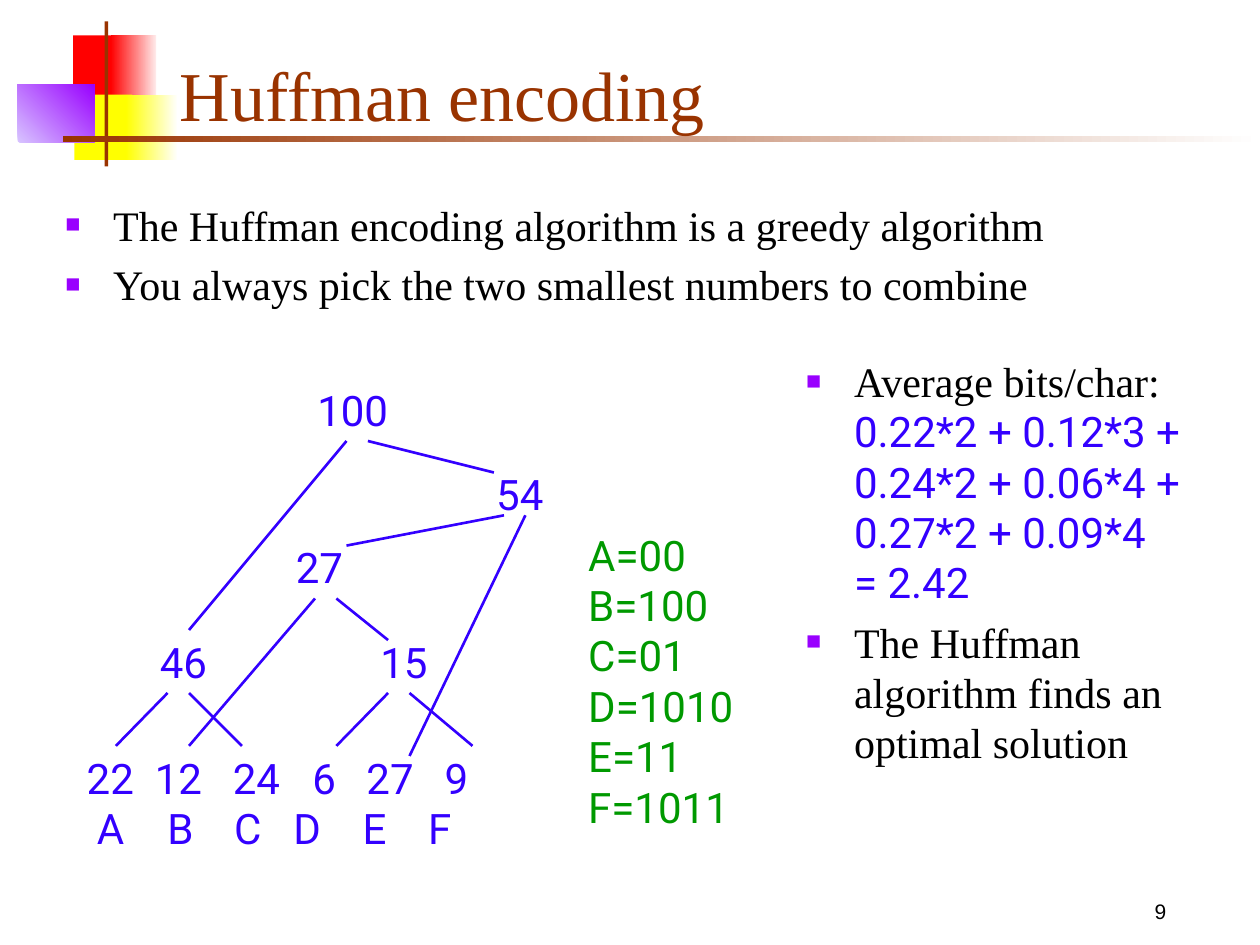
from lxml.etree import SubElement
from pptx import Presentation
from pptx.dml.color import RGBColor
from pptx.enum.shapes import MSO_CONNECTOR, MSO_SHAPE
from pptx.enum.text import MSO_ANCHOR, PP_ALIGN
from pptx.oxml.ns import qn
from pptx.util import Inches, Pt

BLACK = RGBColor(0x00, 0x00, 0x00)
WHITE = RGBColor(0xFF, 0xFF, 0xFF)
BROWN = RGBColor(0x99, 0x33, 0x00)
RED = RGBColor(0xFF, 0x00, 0x00)
PALE_RED = RGBColor(0xFF, 0xEA, 0xEA)
YELLOW = RGBColor(0xFF, 0xFF, 0x00)
PALE_YELLOW = RGBColor(0xFF, 0xFF, 0xF8)
PURPLE = RGBColor(0x99, 0x00, 0xFF)
PALE_PURPLE = RGBColor(0xD8, 0xC4, 0xFF)
BLUE = RGBColor(0x33, 0x00, 0xFF)
GREEN = RGBColor(0x00, 0x99, 0x00)
SERIF = "Times New Roman"
SANS = "Roboto"

presentation = Presentation()
presentation.slide_width = Inches(10)
presentation.slide_height = Inches(7.5)
slide = presentation.slides.add_slide(presentation.slide_layouts[6])


def style_runs(runs, font_name, size, color):
    for run in runs:
        run.font.name = font_name
        run.font.size = Pt(size)
        run.font.color.rgb = color


def add_text(box, paragraphs, font_name, size, color):
    shape = slide.shapes.add_textbox(*[Inches(length) for length in box])
    text_frame = shape.text_frame
    text_frame.word_wrap = True
    text_frame.text = "\n".join(paragraphs)
    for paragraph in text_frame.paragraphs:
        style_runs(paragraph.runs, font_name, size, color)
    return text_frame


decorations = [
    (0.58, 0.28, 0.35, 0.52, RED, None, 0),
    (0.88, 0.28, 0.36, 0.52, RED, PALE_RED, 0),
    (0.59, 0.75, 0.46, 0.52, YELLOW, None, 0),
    (1, 0.75, 0.4, 0.52, YELLOW, PALE_YELLOW, 0),
    (0.14, 0.67, 0.61, 0.46, PALE_PURPLE, PURPLE, 45),
    (0.83, 0.17, 0.03, 1.15, BROWN, None, 0),
    (0.5, 1.08, 9.5, 0.05, BROWN, WHITE, 0),
]
for *box, start_color, end_color, angle in decorations:
    shape = slide.shapes.add_shape(MSO_SHAPE.RECTANGLE, *[Inches(length) for length in box])
    shape.shadow.inherit = False
    shape.line.fill.background()
    if end_color is None:
        shape.fill.solid()
        shape.fill.fore_color.rgb = start_color
    else:
        shape.fill.gradient()
        shape.fill.gradient_angle = angle
        for stop, color, position in zip(shape.fill.gradient_stops, (start_color, end_color), (0, 1)):
            stop.color.rgb = color
            stop.position = position

page_number = add_text((8.67, 7.08, 1.08, 0.3), ["9"], "Arial", 12, BLACK)
page_number.paragraphs[0].alignment = PP_ALIGN.CENTER

title = add_text((1.33, 0.33, 8.52, 0.83), ["Huffman encoding"], SERIF, 40, BROWN)
title.vertical_anchor = MSO_ANCHOR.MIDDLE

bullet_boxes = [
    ((0.42, 1.5, 9.38, 1.16), [
        "The Huffman encoding algorithm is a greedy algorithm",
        "You always pick the two smallest numbers to combine",
    ]),
    ((6.3, 2.74, 3.49, 3.97), [
        "Average bits/char:\v0.22*2 + 0.12*3 +\v0.24*2 + 0.06*4 +\v0.27*2 + 0.09*4\v= 2.42",
        "The Huffman algorithm finds an optimal solution",
    ]),
]
for box, paragraphs in bullet_boxes:
    text_frame = add_text(box, paragraphs, SERIF, 24, BLACK)
    text_frame.margin_top = Inches(0.08)
    for index, paragraph in enumerate(text_frame.paragraphs):
        properties = paragraph._p.get_or_add_pPr()
        properties.set("marL", str(Inches(0.38)))
        properties.set("indent", str(-Inches(0.38)))
        bullet_color = SubElement(properties, qn("a:buClr"))
        SubElement(bullet_color, qn("a:srgbClr"), val=str(PURPLE))
        SubElement(properties, qn("a:buSzPct"), val="60000")
        SubElement(properties, qn("a:buFont"), typeface="Arial")
        SubElement(properties, qn("a:buChar"), char="■")
        if index:
            paragraph.space_before = Pt(5)
        style_runs(paragraph.runs[1:], SANS, 24, BLUE)

leaves = add_text((0.59, 5.92, 3.5, 0.9), ["22\t12\t24\t6\t27\t9", "\tA\tB\tC\tD\tE\tF"], SANS, 24, BLUE)
leaf_tabs = [
    (0.54, 1.16, 1.79, 2.22, 2.84),
    (0.08, 0.64, 1.17, 1.64, 2.19, 2.71),
]
for paragraph, positions in zip(leaves.paragraphs, leaf_tabs):
    tab_list = SubElement(paragraph._p.get_or_add_pPr(), qn("a:tabLst"))
    for position in positions:
        SubElement(tab_list, qn("a:tab"), pos=str(Inches(position)), algn="l")

tree_nodes = [
    ("15", 2.92, 5, 0.75),
    ("27", 2.25, 4.25, 0.58),
    ("46", 1.17, 5, 0.75),
    ("54", 3.84, 3.67, 0.66),
    ("100", 2.42, 3, 0.83),
]
for label, left, top, width in tree_nodes:
    add_text((left, top, width, 0.5), [label], SANS, 24, BLUE)

tree_edges = [
    (2.67, 5.92, 3.08, 5.5),
    (3.25, 5.5, 3.75, 5.92),
    (1.5, 5.92, 2.5, 4.75),
    (2.67, 4.75, 3.08, 5.08),
    (0.92, 5.92, 1.33, 5.5),
    (1.5, 5.5, 1.92, 5.92),
    (3.25, 6, 4.17, 4.09),
    (2.75, 4.33, 4, 4.09),
    (1.5, 5, 2.75, 3.5),
    (3.92, 3.75, 2.92, 3.5),
]
for edge in tree_edges:
    connector = slide.shapes.add_connector(MSO_CONNECTOR.STRAIGHT, *[Inches(length) for length in edge])
    connector.line.color.rgb = BLUE
    connector.line.width = Pt(1.5)
    SubElement(connector._element.spPr, qn("a:effectLst"))

codes = "A=00\vB=100\vC=01\vD=1010\vE=11\vF=1011"
add_text((4.57, 4.15, 1.45, 2.49), [codes], SANS, 24, GREEN)

presentation.save("out.pptx")
